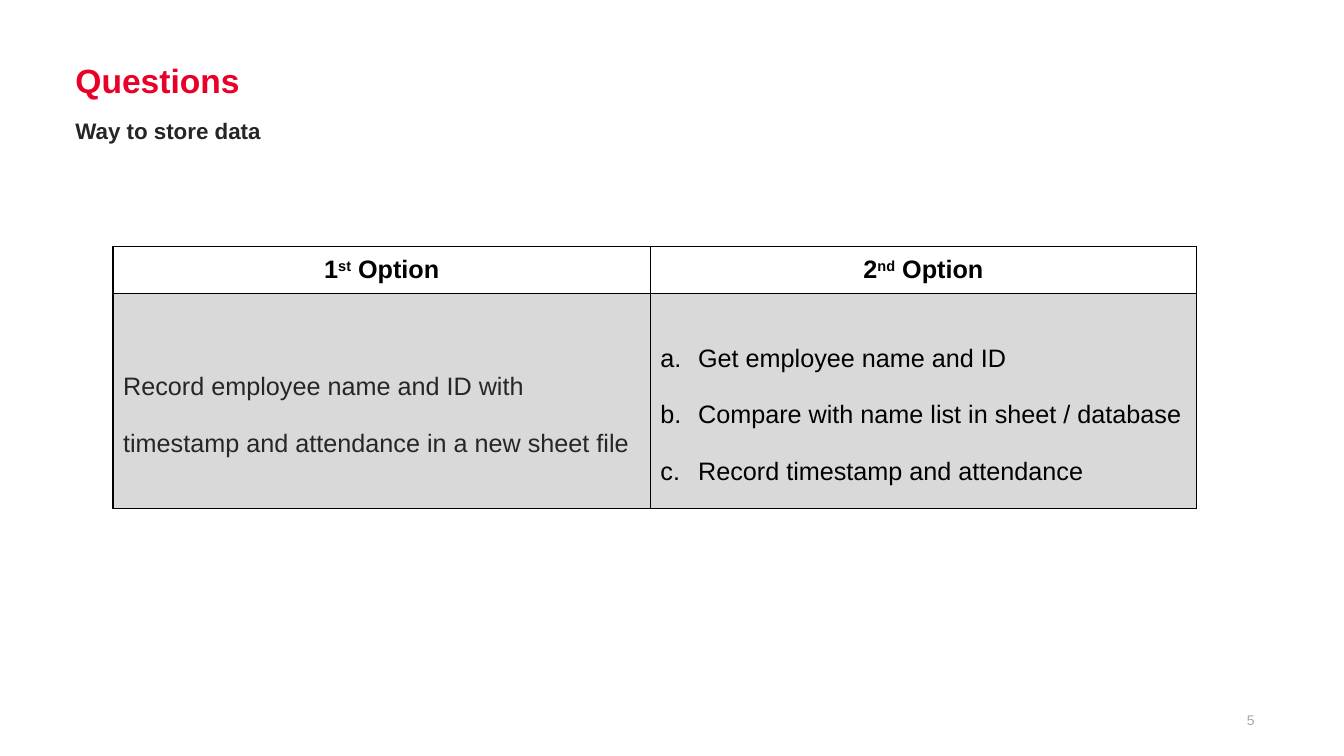
import dataclasses

import lxml.etree
import pptx
import pptx.dml.color
import pptx.enum.text
import pptx.oxml.ns
import pptx.util

Cm = pptx.util.Cm
Pt = pptx.util.Pt
ALIGN = pptx.enum.text.PP_ALIGN
ANCHOR = pptx.enum.text.MSO_ANCHOR
qn = pptx.oxml.ns.qn


@dataclasses.dataclass(frozen=True)
class Theme:
    font: str = "Arial"
    red: str = "E90029"
    dark: str = "262626"
    black: str = "000000"
    white: str = "FFFFFF"
    panel: str = "D9D9D9"
    muted: str = "A6A6A6"
    title: int = 24
    subtitle: int = 16
    body: int = 18
    number: int = 10


THEME = Theme()


def rgb(value):
    return pptx.dml.color.RGBColor.from_string(value)


def format_paragraph(p, size, color, bold=False, align=ALIGN.LEFT, spacing=None):
    p.alignment = align
    if spacing:
        p.line_spacing = spacing
    for r in p.runs:
        r.font.name = THEME.font
        r.font.size = Pt(size)
        r.font.bold = bold
        r.font.color.rgb = rgb(color)


def set_text(sp, text, anchor, size, color, **style):
    tf = sp.text_frame
    tf.word_wrap = True
    tf.vertical_anchor = anchor
    tf.margin_left = tf.margin_right = tf.margin_top = tf.margin_bottom = 0
    tf.text = text
    format_paragraph(tf.paragraphs[0], size, color, **style)
    return tf.paragraphs[0]


def add_title(s, text):
    sp = s.shapes.title
    sp.left, sp.top, sp.width, sp.height = Cm(1.9), Cm(1.52), Cm(29.21), Cm(1.02)
    set_text(sp, text, ANCHOR.TOP, THEME.title, THEME.red, bold=True)


def add_text(s, box, text, anchor, size, color, **style):
    sp = s.shapes.add_textbox(*map(Cm, box))
    return set_text(sp, text, anchor, size, color, **style)


def style_cell(cell, fill):
    cell.vertical_anchor = ANCHOR.MIDDLE
    cell.fill.solid()
    cell.fill.fore_color.rgb = rgb(fill)
    tcPr = cell._tc.get_or_add_tcPr()
    for i, side in enumerate("LRTB"):
        ln = lxml.etree.Element(qn(f"a:ln{side}"), w=str(Pt(1)))
        solid = lxml.etree.SubElement(ln, qn("a:solidFill"))
        lxml.etree.SubElement(solid, qn("a:srgbClr"), val=THEME.black)
        tcPr.insert(i, ln)


def fill_header(cell, number, suffix):
    style_cell(cell, THEME.white)
    p = cell.text_frame.paragraphs[0]
    for text in (number, suffix, " Option"):
        p.add_run().text = text
    format_paragraph(p, THEME.body, THEME.black, bold=True, align=ALIGN.CENTER)
    p.runs[1].font._element.set("baseline", "30000")


def fill_body(cell, lines, color, lettered=False):
    style_cell(cell, THEME.panel)
    tf = cell.text_frame
    tf.text = "\n".join(lines)
    for p in tf.paragraphs:
        format_paragraph(p, THEME.body, color, spacing=2.0)
        if lettered:
            pPr = p._p.get_or_add_pPr()
            indent = Cm(0.95)
            pPr.set("marL", str(indent))
            pPr.set("indent", str(-indent))
            lxml.etree.SubElement(pPr, qn("a:buAutoNum"), type="alphaLcPeriod")


def add_options_table(s):
    box = map(Cm, (2.85, 6.22, 27.3, 6.6))
    table = s.shapes.add_table(2, 2, *box).table
    table.horz_banding = False
    for column, width in zip(table.columns, (13.54, 13.76)):
        column.width = Cm(width)
    for row, height in zip(table.rows, (1.17, 5.43)):
        row.height = Cm(height)
    fill_header(table.cell(0, 0), "1", "st")
    fill_header(table.cell(0, 1), "2", "nd")
    fill_body(
        table.cell(1, 0),
        ["Record employee name and ID with timestamp and attendance in a new sheet file"],
        THEME.dark,
    )
    fill_body(
        table.cell(1, 1),
        [
            "Get employee name and ID",
            "Compare with name list in sheet / database",
            "Record timestamp and attendance",
        ],
        THEME.black,
        lettered=True,
    )


def main():
    prs = pptx.Presentation()
    prs.slide_width, prs.slide_height = Cm(33.87), Cm(19.05)
    s = prs.slides.add_slide(prs.slide_layouts[5])
    add_title(s, "Questions")
    p = add_text(s, (1.9, 2.62, 29.21, 1.09), "Way to store data", ANCHOR.TOP,
                 THEME.subtitle, THEME.dark, bold=True, spacing=1.5)
    p.space_before = Pt(10)
    add_options_table(s)
    add_text(s, (29.59, 17.93, 2.03, 0.43), "5", ANCHOR.MIDDLE,
             THEME.number, THEME.muted, align=ALIGN.RIGHT)
    prs.save("out.pptx")


if __name__ == "__main__":
    main()
